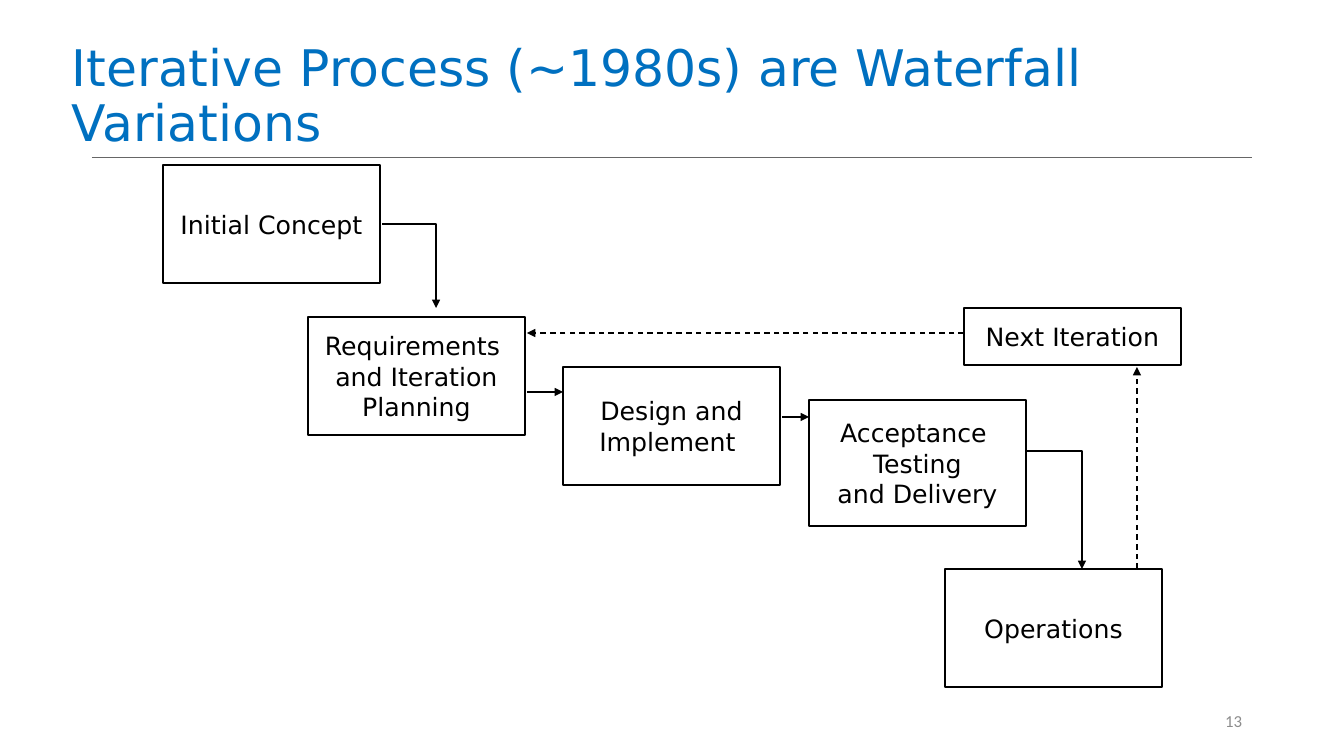
import lxml.etree
import pptx
import pptx.dml.color
import pptx.enum.dml
import pptx.enum.shapes
import pptx.enum.text
import pptx.oxml.ns
import pptx.util

TITLE = "Iterative Process (~1980s) are Waterfall Variations"
PAGE_NUMBER = "13"
BOX_WIDTH = 217

# lines of text, (left, top, height) in px
STAGES = [
    (["Initial Concept"], (163, 165, 118)),
    (["Operations"], (945, 569, 118)),
    (["Acceptance ", "Testing", "and Delivery"], (809, 400, 126)),
    (["Requirements ", "and Iteration", "Planning"], (308, 317, 118)),
    (["Next Iteration"], (964, 308, 57)),
    (["Design and", "Implement "], (563, 367, 118)),
]
# points in px, dashed
FLOWS = [
    ([(382, 224), (436, 224), (436, 308)], False),
    ([(527, 392), (563, 392)], False),
    ([(782, 417), (809, 417)], False),
    ([(1027, 451), (1082, 451), (1082, 569)], False),
    ([(1137, 569), (1137, 367)], True),
    ([(964, 333), (527, 333)], True),
]
THEME = {
    "title": "0070C0", "ink": "000000", "paper": "FFFFFF",
    "rule": "666666", "muted": "8C8C8C",
    "font": "DejaVu Sans", "number_font": "Calibri",
    "title_size": 36, "stage_size": 18, "number_size": 12,
    "line": 1, "rule_line": 0.5,
}
EMU_PER_PX = 914400 / 100.8

ALIGN = pptx.enum.text.PP_ALIGN
ANCHOR = pptx.enum.text.MSO_ANCHOR


def px(length):
    return pptx.util.Emu(round(length * EMU_PER_PX))


def colour(name):
    return pptx.dml.color.RGBColor.from_string(THEME[name])


def write(shape, lines, *, size, ink="ink", font="font", align=ALIGN.LEFT,
          anchor=ANCHOR.MIDDLE, wrap=True, spacing=1.0):
    frame = shape.text_frame
    frame.word_wrap = wrap
    frame.vertical_anchor = anchor
    for index, line in enumerate(lines):
        paragraph = frame.add_paragraph() if index else frame.paragraphs[0]
        paragraph.alignment = align
        paragraph.line_spacing = spacing
        run = paragraph.add_run()
        run.text = line
        run.font.size = pptx.util.Pt(THEME[size])
        run.font.name = THEME[font]
        run.font.color.rgb = colour(ink)


def stroke(shape, ink="ink", width="line"):
    shape.line.color.rgb = colour(ink)
    shape.line.width = pptx.util.Pt(THEME[width])


def straight(slide, start, end, **line_format):
    connector = slide.shapes.add_connector(
        pptx.enum.shapes.MSO_CONNECTOR.STRAIGHT, *map(px, start + end))
    stroke(connector, **line_format)
    lxml.etree.SubElement(connector._element.spPr,
                          pptx.oxml.ns.qn("a:effectLst"))
    return connector


def bent(slide, points):
    corners = [(px(x), px(y)) for x, y in points]
    builder = slide.shapes.build_freeform(*corners[0])
    builder.add_line_segments(corners[1:], close=False)
    elbow = builder.convert_to_shape()
    elbow.shadow.inherit = False
    elbow.fill.background()
    stroke(elbow)
    return elbow


def add_flow(slide, points, dashed):
    """Draw a line through the points, with an arrowhead at the last one."""
    flow = straight(slide, *points) if len(points) == 2 else bent(slide, points)
    if dashed:
        flow.line.dash_style = pptx.enum.dml.MSO_LINE.DASH
    outline = flow._element.spPr.find(pptx.oxml.ns.qn("a:ln"))
    lxml.etree.SubElement(outline, pptx.oxml.ns.qn("a:tailEnd"),
                          type="triangle")


def add_stage(slide, lines, left, top, height):
    stage = slide.shapes.add_shape(
        pptx.enum.shapes.MSO_SHAPE.RECTANGLE,
        *map(px, (left, top, BOX_WIDTH, height)))
    stage.shadow.inherit = False
    stage.fill.solid()
    stage.fill.fore_color.rgb = colour("paper")
    stroke(stage)
    write(stage, lines, size="stage_size", align=ALIGN.CENTER, wrap=False)


def main():
    deck = pptx.Presentation()
    deck.slide_width, deck.slide_height = px(1344), px(756)
    slide = deck.slides.add_slide(deck.slide_layouts[6])

    straight(slide, (92, 157), (1252, 157), ink="rule", width="rule_line")
    title = slide.shapes.add_textbox(*map(px, (62, 11, 1220, 146)))
    write(title, [TITLE], size="title_size", ink="title",
          anchor=ANCHOR.BOTTOM, spacing=0.9)
    number = slide.shapes.add_textbox(*map(px, (949, 701, 303, 40)))
    write(number, [PAGE_NUMBER], size="number_size", ink="muted",
          font="number_font", align=ALIGN.RIGHT)

    for lines, place in STAGES:
        add_stage(slide, lines, *place)
    for points, dashed in FLOWS:
        add_flow(slide, points, dashed)
    deck.save("out.pptx")


if __name__ == "__main__":
    main()
